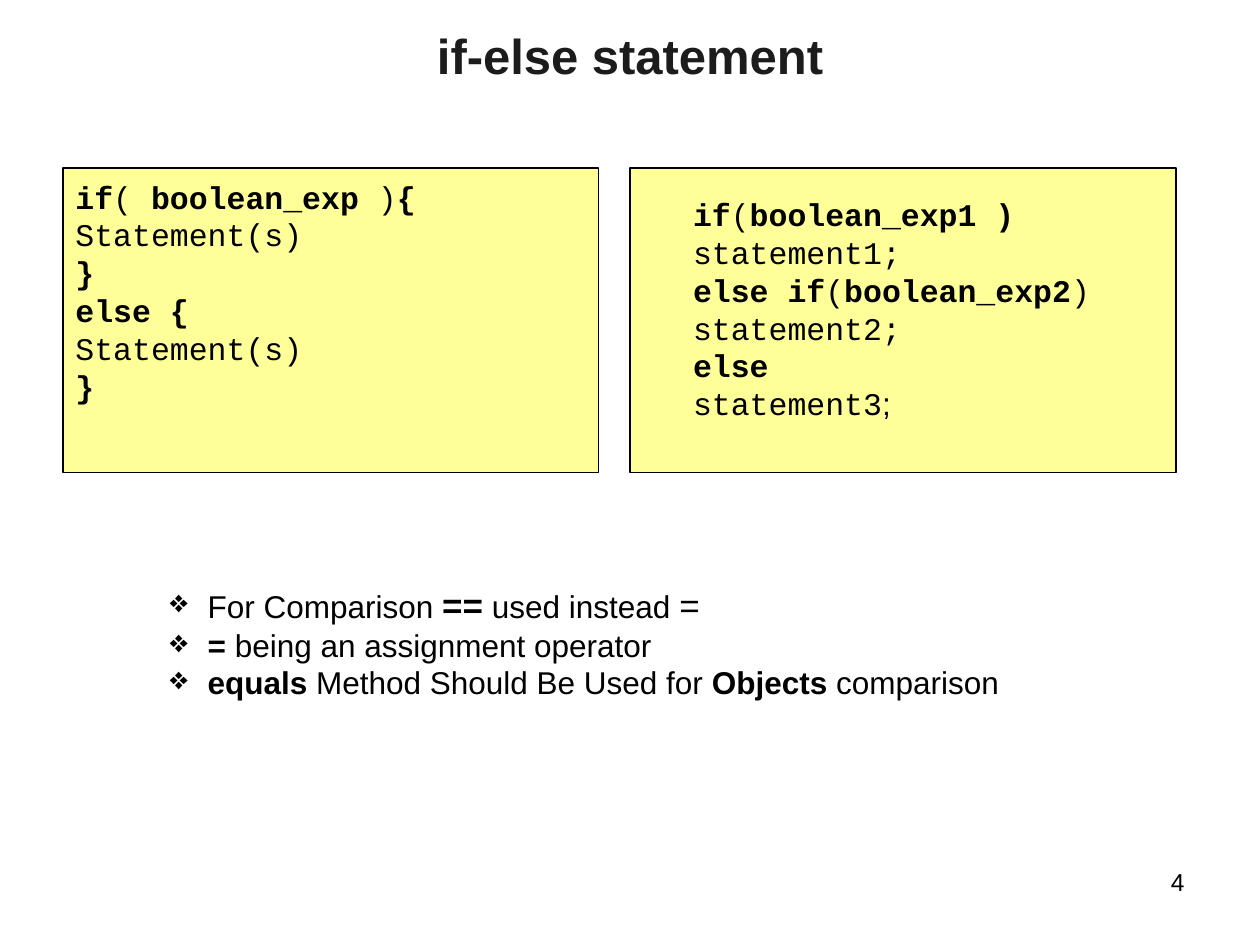
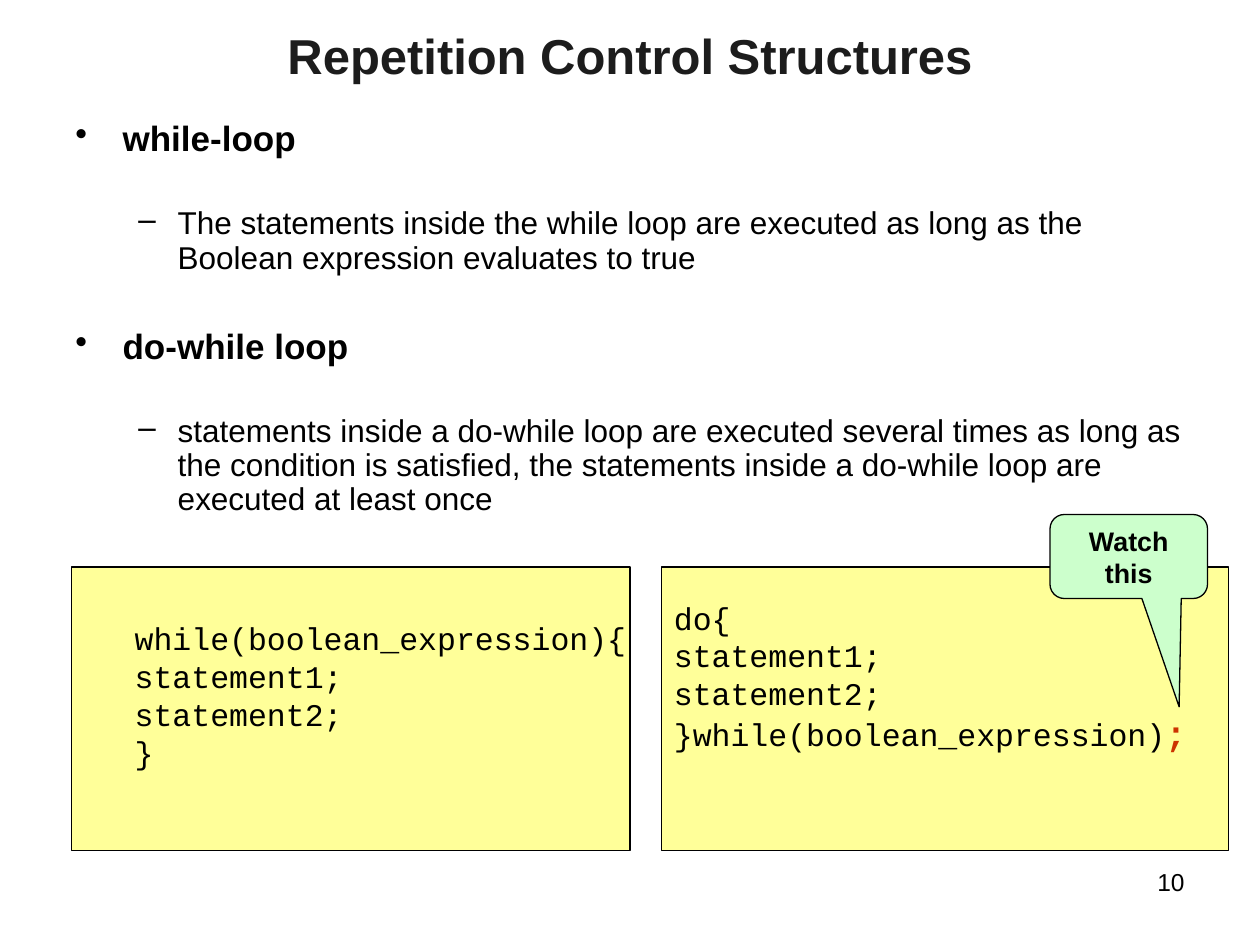
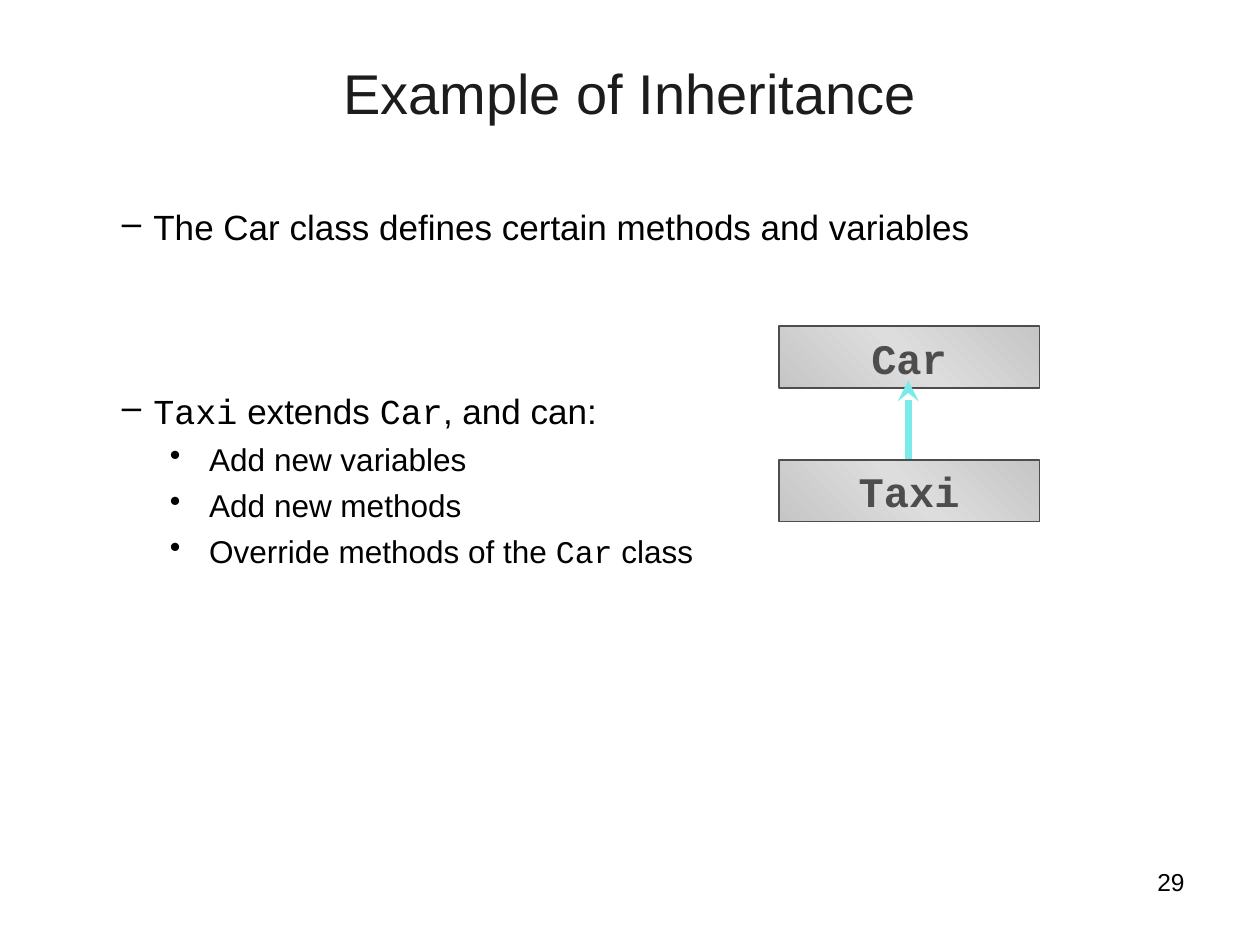
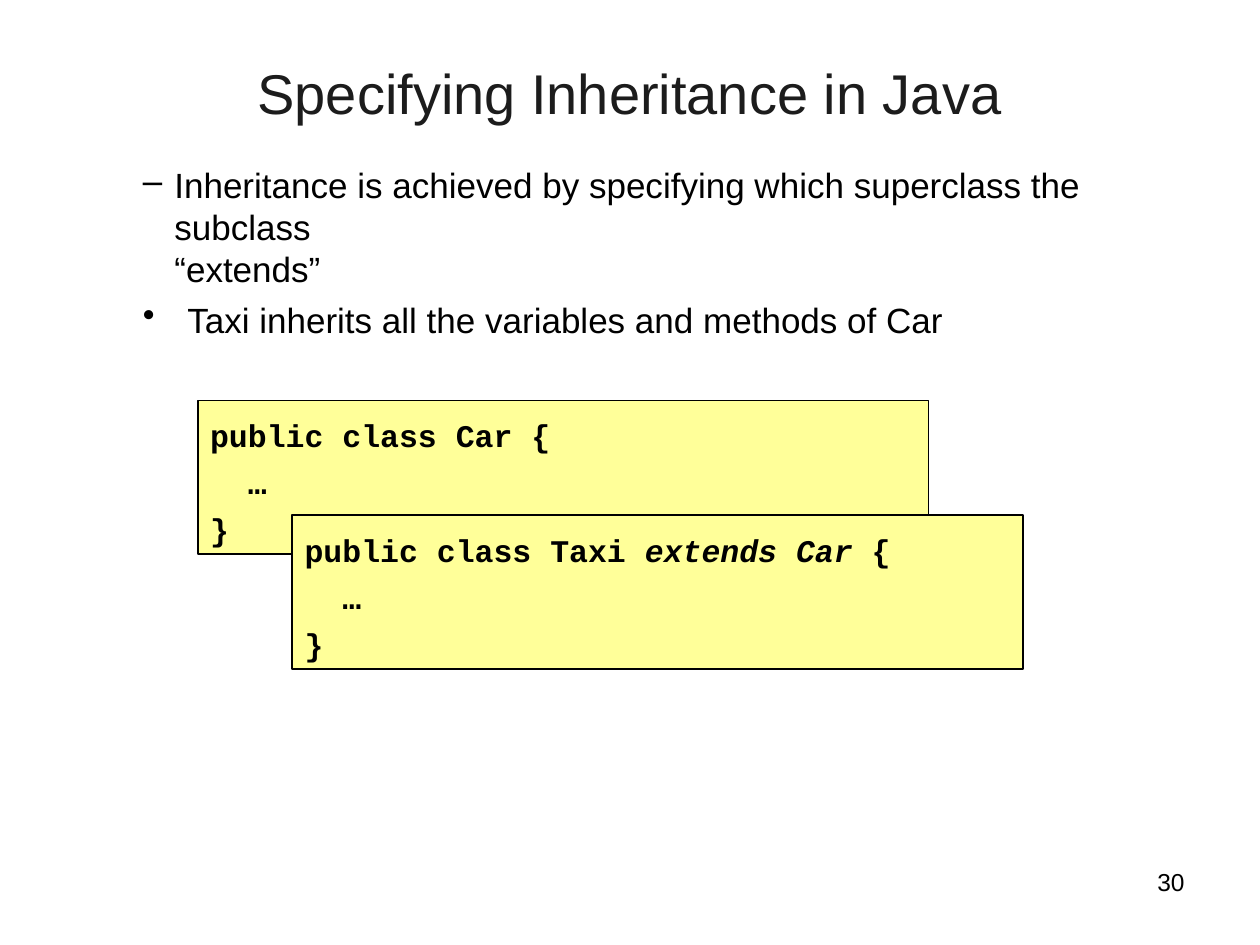
import copy

import lxml.etree
import pptx
import pptx.dml.color
import pptx.enum.shapes
import pptx.enum.text
import pptx.oxml.ns
import pptx.util

Pt = pptx.util.Pt
qn = pptx.oxml.ns.qn
SHAPES = pptx.enum.shapes.MSO_SHAPE
ALIGN = pptx.enum.text.PP_ALIGN
ANCHOR = pptx.enum.text.MSO_ANCHOR

SANS = "Arial"
MONO = "Courier New"
BLACK = "000000"
TITLE_INK = "1C1C1C"
CODE_FILL = "FFFF99"
CALLOUT_FILL = "CCFFCC"
ALERT = "CC3300"
CLASS_INK = "4D4D4D"
CLASS_GRADIENT = ("C6C6C6", "DDDDDD", "C6C6C6")
ARROW_COLOR = "7BEAEA"
INSETS = (7.2, 3.6, 7.2, 3.6)


def rgb(color):
    return pptx.dml.color.RGBColor.from_string(color)


def run(text, **style):
    return text, style


def bold(text, **style):
    return run(text, bold=True, **style)


def mono(text):
    return run(text, font=MONO)


def line(*runs, **layout):
    return [item if isinstance(item, tuple) else run(item) for item in runs], layout


def write_run(paragraph, text, size=18, font=SANS, color=BLACK, bold=False, italic=False):
    for index, part in enumerate(text.split("\n")):
        if index:
            paragraph.add_line_break()
        piece = paragraph.add_run()
        piece.text = part
        piece.font.size = Pt(size)
        piece.font.name = font
        piece.font.color.rgb = rgb(color)
        piece.font.bold = bold
        piece.font.italic = italic


def format_paragraph(paragraph, align=ALIGN.LEFT, indent=0, hanging=0, before=0, spacing=1.0, bullet=None):
    paragraph.alignment = align
    paragraph.space_before = Pt(before)
    paragraph.line_spacing = spacing
    properties = paragraph._p.get_or_add_pPr()
    properties.set("marL", str(int(Pt(indent))))
    properties.set("indent", str(int(Pt(-hanging))))
    if bullet:
        lxml.etree.SubElement(properties, qn("a:buChar")).set("char", bullet)


def write_lines(frame, lines, insets=INSETS, anchor=ANCHOR.TOP, layout=None, **style):
    frame.word_wrap = True
    frame.auto_size = pptx.enum.text.MSO_AUTO_SIZE.NONE
    frame.vertical_anchor = anchor
    frame.margin_left, frame.margin_top, frame.margin_right, frame.margin_bottom = map(Pt, insets)
    for index, (runs, own_layout) in enumerate(lines):
        paragraph = frame.add_paragraph() if index else frame.paragraphs[0]
        format_paragraph(paragraph, **{**(layout or {}), **own_layout})
        for text, own_style in runs:
            write_run(paragraph, text, **{**style, **own_style})


class Deck:
    def __init__(self):
        self.presentation = pptx.Presentation()
        self.presentation.slide_width = Pt(720)
        self.presentation.slide_height = Pt(540)
        self.slide = None

    def add_slide(self, title, number, box, insets=INSETS, **style):
        self.slide = self.presentation.slides.add_slide(self.presentation.slide_layouts[5])
        shape = self.slide.shapes.title
        shape.left, shape.top, shape.width, shape.height = map(Pt, box)
        centred = {"align": ALIGN.CENTER}
        write_lines(shape.text_frame, [line(title)], insets, layout=centred, color=TITLE_INK, **style)
        self.text((516, 492, 168, 37.2), [line(str(number), align=ALIGN.RIGHT)], size=14)

    def control_slide(self, title, number):
        self.add_slide(title, number, (36, 14.5, 648, 50.4), (7.2, 0, 7.2, 0), size=28, bold=True)

    def inheritance_slide(self, title, number):
        self.add_slide(title, number, (54, 30, 612, 90), size=32)

    def text(self, box, lines, **options):
        shape = self.slide.shapes.add_textbox(*map(Pt, box))
        write_lines(shape.text_frame, lines, **options)

    def shape(self, box, lines, fill=CODE_FILL, border=BLACK, width=0.75, kind=SHAPES.RECTANGLE, **options):
        shape = self.slide.shapes.add_shape(kind, *map(Pt, box))
        shape.shadow.inherit = False
        if isinstance(fill, tuple):
            self.gradient(shape, fill)
        else:
            shape.fill.solid()
            shape.fill.fore_color.rgb = rgb(fill)
        shape.line.color.rgb = rgb(border)
        shape.line.width = Pt(width)
        write_lines(shape.text_frame, lines, **options)
        return shape

    def gradient(self, shape, colors):
        shape.fill.gradient()
        shape.fill.gradient_angle = 45
        stop_list = shape.element.spPr.find(".//" + qn("a:gsLst"))
        for _ in colors[2:]:
            stop_list.append(copy.deepcopy(stop_list[0]))
        for index, stop in enumerate(shape.fill.gradient_stops):
            stop.position = index / (len(colors) - 1)
            stop.color.rgb = rgb(colors[index])

    def code(self, box, lines, top=3.6, left=7.2, width=0.75, layout=None, **style):
        self.shape(box, lines, width=width, insets=(left, top, 0, 3.6), layout=layout, font=MONO, **style)

    def callout(self, box, text, adjustments):
        shape = self.shape(box, [line(text, align=ALIGN.CENTER)], fill=CALLOUT_FILL,
                           kind=SHAPES.ROUNDED_RECTANGULAR_CALLOUT, size=15.3, bold=True)
        for index, value in enumerate(adjustments):
            shape.adjustments[index] = value

    def class_box(self, box, name):
        self.shape(box, [line(name, align=ALIGN.CENTER)], fill=CLASS_GRADIENT, border=CLASS_INK, width=1,
                   anchor=ANCHOR.MIDDLE, size=24, font=MONO, color=CLASS_INK, bold=True)

    def arrow(self, start, end):
        connector = self.slide.shapes.add_connector(
            pptx.enum.shapes.MSO_CONNECTOR.STRAIGHT, *map(Pt, start + end))
        connector.line.color.rgb = rgb(ARROW_COLOR)
        connector.line.width = Pt(4)
        lxml.etree.SubElement(connector.line._get_or_add_ln(), qn("a:tailEnd")).set("type", "stealth")
        lxml.etree.SubElement(connector.element.spPr, qn("a:effectLst"))


def add_if_else(deck):
    deck.control_slide("if-else statement", 4)
    deck.code((36, 96, 306, 174), [
        line(bold("if"), "( ", bold("boolean_exp"), " )", bold("{")),
        line("Statement(s)"),
        line(bold("}")),
        line(bold("else {")),
        line("Statement(s)"),
        line(bold("}")),
    ], top=5.5)
    deck.code((360, 96, 312, 174), [
        line(bold("if"), "(", bold("boolean_exp1 )")),
        line("statement1;"),
        line(bold("else if"), "(", bold("boolean_exp2"), ")"),
        line("statement2;"),
        line(bold("else")),
        line("statement3", run(";", font=SANS)),
    ], top=15.5, left=0, layout={"indent": 36})
    deck.text((90, 330, 498, 96.5), [
        line("For Comparison ", bold("==", size=20), " used instead ", run("=", size=20)),
        line(bold("= "), "being an assignment operator"),
        line(bold("equals"), " Method Should Be Used for ", bold("Objects"), " comparison"),
    ], layout={"bullet": "❖", "indent": 21.6, "hanging": 21.6})


def add_repetition(deck):
    topic = {"bullet": "•", "indent": 27, "hanging": 27}
    detail = {"bullet": "–", "indent": 58.5, "hanging": 22.5, "before": 27.6}
    deck.control_slide("Repetition Control Structures", 10)
    deck.text((36, 66, 648, 416), [
        line(bold("while-loop", size=20), before=5, **topic),
        line("The statements inside the while loop are executed as long as the Boolean expression "
             "evaluates to true", **detail),
        line(bold("do-while loop", size=20), before=30.7, **topic),
        line("statements inside a do-while loop are executed several times as long as the condition is "
             "satisfied, the statements inside a do-while loop are executed at least once", **detail),
    ], layout={"spacing": 0.9})
    statements = [line("statement1;"), line("statement2;")]
    deck.code((41, 324, 319, 162), [line("while(boolean_expression){"), *statements, line("}")],
              top=30, left=0, layout={"indent": 36})
    deck.code((378, 324, 324, 162), [
        line("do{"),
        *statements,
        line("}while(boolean_expression)", bold(";", size=20, color=ALERT)),
    ], top=18)
    deck.callout((600, 294, 90, 48), "Watch this", (0.32, 1.79, 0.17))


def add_inheritance_example(deck):
    dash = {"bullet": "–", "indent": 26.6, "hanging": 18}
    dot = {"bullet": "•", "indent": 58.5, "hanging": 22.5, "before": 4.5}
    deck.inheritance_slide("Example of Inheritance", 29)
    deck.text((54, 114, 593, 219.6), [
        line(run("The Car class defines certain methods and variables", size=20), before=5, **dash),
        line(*[run(text, size=20, font=font) for text, font in (
            ("Taxi", MONO), (" extends ", SANS), ("Car", MONO), (", and can:", SANS))],
            before=84, spacing=0.9, **dash),
        line("Add new variables", **dot),
        line("Add new methods", **dot),
        line("Override methods of the ", mono("Car"), " class", **dot),
    ])
    deck.class_box((445, 186.5, 149, 35.3), "Car")
    deck.arrow((519, 264.2), (519, 217.4))
    deck.class_box((445, 262.8, 149, 35.3), "Taxi")


def add_inheritance_syntax(deck):
    deck.inheritance_slide("Specifying Inheritance in Java", 30)
    deck.text((66, 90, 593, 108), [
        line("Inheritance is achieved by specifying which superclass the subclass\n“extends”",
             bullet="–", indent=26.6, hanging=18),
        line("Taxi inherits all the variables and methods of Car", bullet="•", indent=34, hanging=25.4),
    ], size=20, layout={"before": 5})
    declarations = (
        ["public class Car {"],
        ["public class Taxi ", run("extends Car", italic=True), " {"],
    )
    for index, declaration in enumerate(declarations):
        deck.code((113 + 54 * index, 228.8 + 65.6 * index, 417.6, 87.8),
                  [line(*declaration), line("…", indent=21.6), line("}")],
                  width=1, layout={"spacing": 1.25}, bold=True)


def main():
    deck = Deck()
    add_if_else(deck)
    add_repetition(deck)
    add_inheritance_example(deck)
    add_inheritance_syntax(deck)
    deck.presentation.save("out.pptx")


if __name__ == "__main__":
    main()
